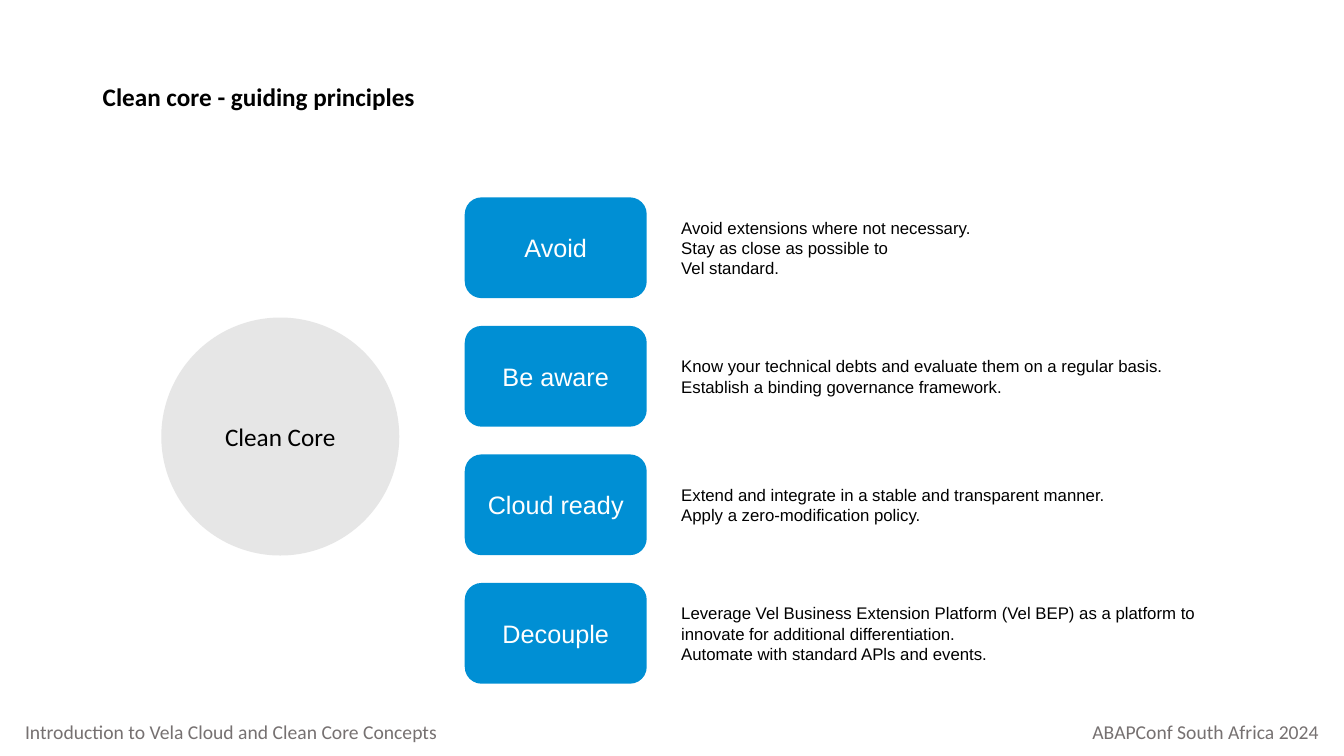
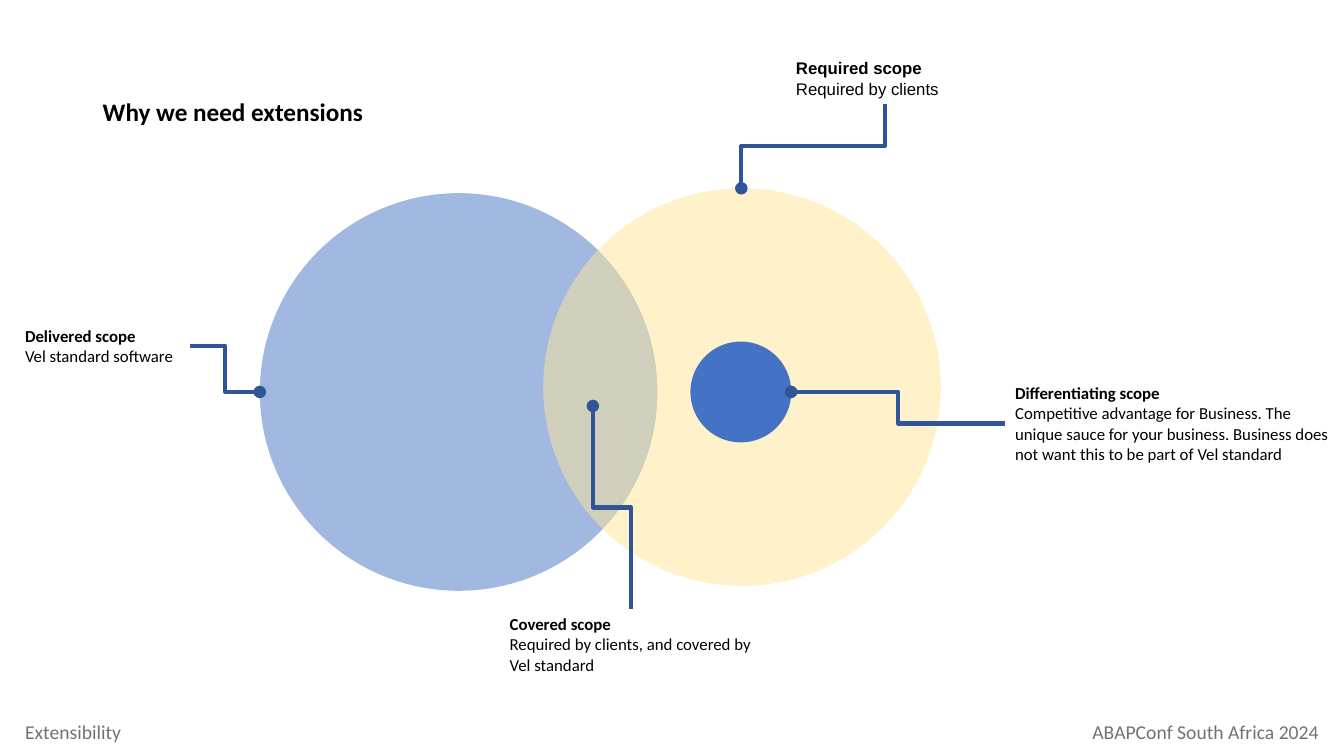
"""Build two slides on clean core principles and extension scopes."""
import lxml.etree
import pptx
import pptx.dml.color
import pptx.enum.shapes
import pptx.enum.text
import pptx.oxml.ns
import pptx.util

COLS, ROWS = 96, 54
CELL = pptx.util.Inches(7.5) / ROWS
EDGE = 1.08
COLORS = {
    "text": "000000",
    "foot": "767171",
    "white": "FFFFFF",
    "gray": "E6E6E6",
    "card": "008FD4",
    "blue": "4472C4",
    "sand": "FFE699",
    "line": "2F5597",
}
ALIGN = pptx.enum.text.PP_ALIGN
ANCHOR = pptx.enum.text.MSO_ANCHOR
SHAPE = pptx.enum.shapes.MSO_SHAPE
qn = pptx.oxml.ns.qn

CARDS = [
    ("Avoid", ["Avoid extensions where not necessary.",
               "Stay as close as possible to",
               "Vel standard."]),
    ("Be aware", ["Know your technical debts and evaluate them on a regular basis.",
                  "Establish a binding governance framework."]),
    ("Cloud ready", ["Extend and integrate in a stable and transparent manner.",
                     "Apply a zero-modification policy."]),
    ("Decouple", ["Leverage Vel Business Extension Platform (Vel BEP) as a platform "
                  "to innovate for additional differentiation.",
                  "Automate with standard APls and events."]),
]
LABELS = [
    ((EDGE, 22.9, 12.5, 3.6), "Calibri",
     ["Delivered scope", "Vel standard software"]),
    ((35.7, 43.5, 18.8, 5.1), "Calibri",
     ["Covered scope", "Required by clients, and covered by Vel standard"]),
    ((71.8, 27, 24.2, 6.55), "Calibri",
     ["Differentiating scope",
      "Competitive advantage for Business. The unique sauce for your business. "
      "Business does not want this to be part of Vel standard"]),
    ((56.15, 3.8, 14, 3.6), "Arial",
     ["Required scope", "Required by clients"]),
]
LINKS = [
    ((13.6, 24.7), (18.56, 28), False),
    ((45.1, 43.5), (42.35, 29), True),
    ((71.8, 30.25), (56.52, 28), False),
    ((63.2, 7.4), (52.95, 13.45), True),
]


def grid(*cells):
    """Turn grid cells into lengths."""
    return [pptx.util.Emu(round(cell * CELL)) for cell in cells]


def tint(name):
    """Look up a named colour."""
    return pptx.dml.color.RGBColor.from_string(COLORS[name])


def write(frame, lines, size, face="Arial", color="text", align=ALIGN.LEFT, head=False):
    """Fill a text frame, with a bold first line if asked."""
    frame.word_wrap = True
    frame.text = "\n".join(lines)
    for row, para in enumerate(frame.paragraphs):
        para.alignment = align
        font = para.font
        font.name, font.size = face, pptx.util.Pt(size)
        font.bold = head and row == 0
        font.color.rgb = tint(color)


def note(slide, box, lines, size=12, anchor=ANCHOR.TOP, **style):
    """Add a text box."""
    frame = slide.shapes.add_textbox(*grid(*box)).text_frame
    frame.vertical_anchor = anchor
    write(frame, lines, size, **style)


def block(slide, kind, box, fill, alpha=100):
    """Add a plain filled shape."""
    shape = slide.shapes.add_shape(kind, *grid(*box))
    shape.shadow.inherit = False
    shape.line.fill.background()
    shape.fill.solid()
    shape.fill.fore_color.rgb = tint(fill)
    if alpha < 100:
        paint = shape.element.spPr.find(qn("a:solidFill"))[0]
        lxml.etree.SubElement(paint, qn("a:alpha"), val=str(alpha * 1000))
    return shape


def disc(slide, mid, size, fill, alpha=100):
    """Add a circle around a centre."""
    x, y = mid
    box = (x - size / 2, y - size / 2, size, size)
    return block(slide, SHAPE.OVAL, box, fill, alpha)


def link(slide, start, end, upright):
    """Add an elbow line that ends in a dot."""
    (ax, ay), (bx, by) = start, end
    turn = 0
    if upright:
        sign = 1 if by > ay else -1
        mx, my = (ax + bx) / 2, (ay + by) / 2
        dx, dy = abs(by - ay) / 2, sign * (ax - bx) / 2
        ax, ay, bx, by = mx - dx, my - dy, mx + dx, my + dy
        turn = 90 if sign > 0 else 270
    elbow = pptx.enum.shapes.MSO_CONNECTOR.ELBOW
    wire = slide.shapes.add_connector(elbow, *grid(ax, ay, bx, by))
    wire.line.width = pptx.util.Pt(3)
    wire.line.color.rgb = tint("line")
    props = wire.element.spPr
    if turn:
        props.find(qn("a:xfrm")).set("rot", str(turn * 60000))
    lxml.etree.SubElement(props.find(qn("a:ln")), qn("a:tailEnd"), type="oval")
    lxml.etree.SubElement(props, qn("a:effectLst"))


def base(deck, title, foot, top):
    """Start a slide with its title and footers."""
    slide = deck.slides.add_slide(deck.slide_layouts[5])
    head = slide.shapes.title
    head.left, head.top, head.width, head.height = grid(6.62, top, 82.8, 10.44)
    head.text_frame.vertical_anchor = ANCHOR.MIDDLE
    write(head.text_frame, [title], 18, "Calibri", head=True)
    head.text_frame.paragraphs[0].line_spacing = 0.9
    wide = COLS / 2
    feet = [(EDGE, foot, ALIGN.LEFT),
            (COLS - EDGE - wide, "ABAPConf South Africa 2024", ALIGN.RIGHT)]
    for x, text, align in feet:
        note(slide, (x, 51.1, wide, 2.45), [text], 14,
             face="Calibri", color="foot", align=align)
    return slide


def rules(deck):
    """Build the slide of guiding principles."""
    slide = base(deck, "Clean core - guiding principles",
                 "Introduction to Vela Cloud and Clean Core Concepts", 1.8)
    core = disc(slide, (20.02, 31.18), 17, "gray")
    write(core.text_frame, ["Clean Core"], 18, "Calibri", align=ALIGN.CENTER)
    for row, (name, lines) in enumerate(CARDS):
        top, high = 14.1 + row * 9.18, 7.2
        card = block(slide, SHAPE.ROUNDED_RECTANGLE, (33.2, top, 13, high), "card")
        write(card.text_frame, [name], 18, color="white", align=ALIGN.CENTER)
        note(slide, (47.95, top, 40.2, high), lines, anchor=ANCHOR.MIDDLE)


def scopes(deck):
    """Build the slide of overlapping scopes."""
    slide = base(deck, "Why we need extensions", "Extensibility", 2.88)
    disc(slide, (32.76, 28), 28.4, "blue", 50)
    disc(slide, (53, 27.65), 28.4, "sand", 50)
    disc(slide, (52.92, 28), 7.2, "blue")
    for box, face, lines in LABELS:
        note(slide, box, lines, face=face, head=True)
    for start, end, upright in LINKS:
        link(slide, start, end, upright)


def main():
    """Build and save the deck."""
    deck = pptx.Presentation()
    deck.slide_width, deck.slide_height = grid(COLS, ROWS)
    rules(deck)
    scopes(deck)
    deck.save("out.pptx")


if __name__ == "__main__":
    main()
